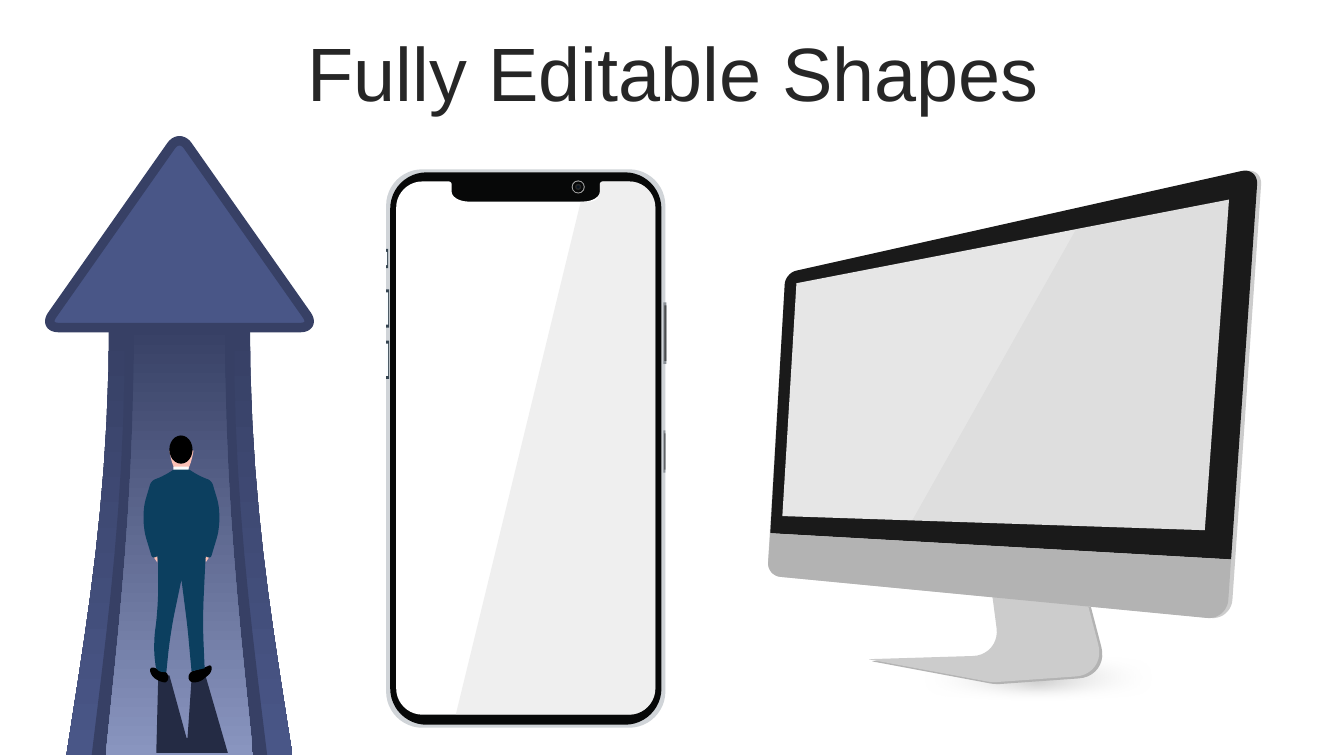
from dataclasses import dataclass
from math import dist
from typing import List, NamedTuple, Optional, Sequence, Tuple, Union

from lxml import etree
from pptx import Presentation
from pptx import util as u
from pptx.dml.color import RGBColor
from pptx.enum import shapes, text
from pptx.oxml import ns

COLORS = {
    "title": "262626", "black": "000000", "white": "FFFFFF", "shade": "808080",
    "stand_edge": "B3B3B3", "stand": "CCCCCC", "bezel": "1A1A1A", "display": "E6E6E6",
    "glare": "999999", "shell": "D0D4D8", "body": "070808", "key": "364551",
    "key_light": "FAFDFF", "side_key": "8A9096", "side_slot": "4A4C4D", "ring": "A6A6A6",
    "lens": "262626", "pupil": "081422", "sheen": "D9D9D9", "navy": "374065",
    "arrow": "495687", "road": "8995BF", "skin": "FCC0B5", "collar": "FCFCFC",
    "figure_shadow": "242B44", "suit": "0C3F5F",
}
OVAL = shapes.MSO_SHAPE.OVAL
RECT = shapes.MSO_SHAPE.RECTANGLE
ROUND = shapes.MSO_SHAPE.ROUNDED_RECTANGLE
CURVE_STEPS = 10
ARC = 0.55
Point = Tuple[float, float]


class Corner(NamedTuple):
    x: float
    y: float
    cut: float = 0


class Key(NamedTuple):
    box: Tuple[float, float, float, float]
    slot_shift: float
    fill: str
    slot_fill: str


@dataclass
class Outline:
    points: List[Point]
    fill: str
    fade_to: Optional[str] = None
    alpha: int = 100
    line: Optional[str] = None


@dataclass
class Preset:
    kind: shapes.MSO_SHAPE
    box: Tuple[float, float, float, float]
    fill: str
    radius: float = 0


Item = Union[Outline, Preset]


def inch(value: float) -> u.Length:
    return u.Cm(value * 2.54)


def rgb(name: str) -> RGBColor:
    return RGBColor.from_string(COLORS[name])


def toward(a: Point, b: Point, share: float) -> Point:
    return a[0] + (b[0] - a[0]) * share, a[1] + (b[1] - a[1]) * share


def bezier(*controls: Point) -> List[Point]:
    points = []
    for step in range(CURVE_STEPS + 1):
        level = list(controls)
        while len(level) > 1:
            level = [toward(a, b, step / CURVE_STEPS) for a, b in zip(level, level[1:])]
        points.append(level[0])
    return points


def rounded(corners: Sequence[Corner]) -> List[Point]:
    points: List[Point] = []
    for i, corner in enumerate(corners):
        here = corner[:2]
        if not corner.cut:
            points.append(here)
            continue
        ends = []
        for neighbour in (corners[i - 1][:2], corners[(i + 1) % len(corners)][:2]):
            ends.append(toward(here, neighbour, min(0.5, corner.cut / dist(here, neighbour))))
        start, end = ends
        points += bezier(start, toward(start, here, ARC), toward(end, here, ARC), end)
    return points


def mirrored(half: Sequence[Corner], axis: float) -> List[Corner]:
    return [*half, *(c._replace(x=2 * axis - c.x) for c in reversed(half))]


def shifted(corners: Sequence[Corner], dx: float, dy: float) -> List[Corner]:
    return [Corner(c.x + dx, c.y + dy, c.cut) for c in corners]


def set_alpha(sp, percents: List[int]) -> None:
    for color, percent in zip(sp.element.spPr.iter(ns.qn("a:srgbClr")), percents):
        etree.SubElement(color, ns.qn("a:alpha"), val=str(percent * 1000))


def paint_gradient(sp, start: str, end: str, last: float = 1) -> None:
    sp.fill.gradient()
    for stop, name, position in zip(sp.fill.gradient_stops, (start, end), (0, last)):
        stop.color.rgb = rgb(name)
        stop.position = position


def draw(container, item: Item):
    if isinstance(item, Outline):
        points = [(inch(x), inch(y)) for x, y in item.points]
        builder = container.build_freeform(*points[0], scale=1.0)
        builder.add_line_segments(points[1:], close=True)
        sp = builder.convert_to_shape()
    else:
        sp = container.add_shape(item.kind, *map(inch, item.box))
        if item.radius:
            sp.adjustments[0] = item.radius / min(item.box[2:])
    sp.shadow.inherit = False
    sp.line.fill.background()
    sp.fill.solid()
    sp.fill.fore_color.rgb = rgb(item.fill)
    if isinstance(item, Outline):
        if item.fade_to:
            paint_gradient(sp, item.fill, item.fade_to)
            sp.fill.gradient_angle = 270
        if item.alpha < 100:
            set_alpha(sp, [item.alpha])
        if item.line:
            sp.line.color.rgb = rgb(item.line)
            sp.line.width = u.Pt(6.75)
    return sp


def draw_title(s, title: str) -> None:
    tf = s.shapes.add_textbox(*map(inch, (0.35, 0.37, 12.66, 0.79))).text_frame
    tf.word_wrap = True
    tf.vertical_anchor = text.MSO_ANCHOR.MIDDLE
    p = tf.paragraphs[0]
    p.text = title
    p.alignment = text.PP_ALIGN.CENTER
    p.line_spacing = 0.9
    p.font.name, p.font.size, p.font.color.rgb = "Arial", u.Pt(54), rgb("title")


def draw_floor_shadow(s) -> None:
    sp = draw(s.shapes, Preset(OVAL, (7.87, 6.47, 4.85, 0.49), "shade"))
    paint_gradient(sp, "shade", "white", last=0.5)
    set_alpha(sp, [40, 0])
    gradient = sp.element.spPr.find(ns.qn("a:gradFill"))
    gradient.remove(gradient.find(ns.qn("a:lin")))
    radial = etree.SubElement(gradient, ns.qn("a:path"), path="circle")
    etree.SubElement(radial, ns.qn("a:fillToRect"), dict.fromkeys("ltrb", "50000"))
    effects = sp.element.spPr.find(ns.qn("a:effectLst"))
    etree.SubElement(effects, ns.qn("a:softEdge"), rad=str(inch(0.12)))


def monitor() -> List[Item]:
    foot = [Corner(9.87, 5.91), Corner(9.95, 6.52, 0.27), Corner(8.64, 6.56, 0.02),
            Corner(9.87, 6.79, 0.05), Corner(11, 6.71, 0.3), Corner(10.82, 6.02)]
    top_left = Corner(7.79, 2.71, 0.11)
    bottom_left = Corner(7.61, 5.71, 0.13)
    shell = [Corner(12.21, 6.15, 0.2), bottom_left, top_left, Corner(12.52, 1.66, 0.17)]
    seam_left, seam_right = Corner(7.64, 5.29), Corner(12.21, 5.55)
    bezel = [seam_right, seam_left, top_left, Corner(12.48, 1.66, 0.17)]
    chin = [seam_left, bottom_left, Corner(12.17, 6.15, 0.2), seam_right]
    display = [Corner(11.95, 5.26), Corner(7.76, 5.12), Corner(7.9, 2.81), Corner(12.19, 1.98)]
    glare = [Corner(10.67, 2.28), display[3], display[0], Corner(9.05, 5.16)]
    layers = [(foot, "stand_edge"), (shifted(foot, -0.03, -0.02), "stand"), (shell, "stand"),
              (bezel, "bezel"), (display, "display"), (chin, "stand_edge")]
    return [*(Outline(rounded(corners), fill) for corners, fill in layers),
            Outline(rounded(glare), "glare", alpha=10)]


def phone() -> List[Item]:
    axis, radius, notch_radius, lip = 5.215, 0.26, 0.17, 0.03
    left, top, bottom, notch_left, notch_bottom = 3.93, 1.8, 7.09, 4.48, 2.0
    screen = mirrored([Corner(notch_left, notch_bottom, notch_radius),
                       Corner(notch_left, top, lip), Corner(left, top, radius),
                       Corner(left, bottom, radius)], axis)
    sheen = [*screen[4:], Corner(5.76, notch_bottom), Corner(4.52, bottom)]
    keys = [Key((3.83, y, w, h), 0, "key", "key_light")
            for y, w, h in [(2.47, 0.02, 0.19), (2.87, 0.03, 0.38), (3.38, 0.03, 0.38)]]
    keys += [Key((6.58, y, w, h), 0.01, "side_key", "side_slot")
             for y, w, h in [(3, 0.03, 0.61), (4.27, 0.02, 0.42)]]

    items: List[Item] = [Preset(ROUND, (3.83, 1.68, 2.77, 5.54), "shell", 0.36),
                         Preset(ROUND, (3.87, 1.71, 2.69, 5.48), "body", 0.36),
                         Outline(rounded(screen), "white")]
    for key in keys:
        x, y, w, h = key.box
        slot = (x + key.slot_shift, y + 0.03, w - 0.01, h - 0.06)
        items += [Preset(RECT, key.box, key.fill), Preset(RECT, slot, key.slot_fill)]
    for size, fill in [(0.13, "ring"), (0.11, "body"), (0.06, "lens"), (0.03, "pupil")]:
        items.append(Preset(OVAL, (5.735 - size / 2, 1.855 - size / 2, size, size), fill))
    return [*items, Outline(rounded(sheen), "sheen", alpha=40)]


def road_layer(axis: float, base: float, neck: float) -> List[Point]:
    middle = (base + neck) / 2
    left = bezier((axis - base, 7.49), (axis - middle, 6.13),
                  (axis - neck, 4.94), (axis - neck, 3.23))
    return [*left, *((2 * axis - x, y) for x, y in reversed(left))]


def arrow() -> List[Item]:
    axis = 1.78
    head = [Corner(0.43, 3.25, 0.15), Corner(axis, 1.33, 0.14), Corner(3.13, 3.25, 0.15)]
    layers = [(1.12, 0.7, "navy", "arrow"), (0.87, 0.54, "navy", None),
              (0.73, 0.45, "navy", "road")]
    return [*(Outline(road_layer(axis, base, neck), fill, fade_to=fade)
              for base, neck, fill, fade in layers),
            Outline(rounded(head), "arrow", line="navy")]


def businessman() -> List[Item]:
    axis = 1.8
    face = mirrored([Corner(1.73, 4.65), Corner(1.7, 4.57, 0.04), Corner(1.68, 4.47)], axis)
    hands = mirrored([Corner(1.57, 5.5), Corner(1.52, 5.52), Corner(1.56, 5.58)], axis)
    jacket = mirrored([Corner(1.57, 5.6), Corner(1.56, 5.52), Corner(1.51, 5.54, 0.03),
                       Corner(1.39, 5.14, 0.35), Corner(1.5, 4.77, 0.04),
                       Corner(1.63, 4.72, 0.08), Corner(1.75, 4.64, 0.05)], axis)
    trousers = [Corner(1.57, 5.5), Corner(1.57, 6.02, 0.2), Corner(1.52, 6.4, 0.15),
                Corner(1.55, 6.66, 0.06), Corner(1.65, 6.67), Corner(1.69, 6.28, 0.2),
                Corner(1.8, 5.75), Corner(1.86, 6.22, 0.1), Corner(1.9, 6.66),
                Corner(2.03, 6.63), Corner(2.01, 6.16, 0.2), Corner(2.04, 5.5)]
    left_shoe = [Corner(1.48, 6.61, 0.05), Corner(1.67, 6.67, 0.05), Corner(1.67, 6.77, 0.05),
                 Corner(1.6, 6.77, 0.05), Corner(1.5, 6.71, 0.05)]
    right_shoe = [Corner(1.87, 6.67, 0.05), Corner(2.04, 6.62, 0.03), Corner(2.1, 6.59, 0.04),
                  Corner(2.1, 6.67, 0.04), Corner(1.98, 6.77, 0.05), Corner(1.87, 6.77, 0.05)]
    shadow = [Corner(1.57, 6.7), Corner(1.55, 7.47), Corner(2.26, 7.47), Corner(2.04, 6.71),
              Corner(1.9, 6.74), Corner(1.86, 7.32), Corner(1.85, 7.32), Corner(1.68, 6.7)]
    parts = [(shadow, "figure_shadow"), (left_shoe, "black"), (right_shoe, "black"),
             (face, "skin"), (hands[:3], "skin"), (hands[3:], "skin"),
             (trousers, "suit"), (jacket, "suit")]
    return [*(Outline(rounded(corners), fill) for corners, fill in parts),
            Preset(RECT, (1.72, 4.63, 0.15, 0.03), "collar"),
            Preset(OVAL, (1.68, 4.32, 0.23, 0.28), "black")]


def main() -> None:
    prs = Presentation()
    prs.slide_width, prs.slide_height = inch(13.33), inch(7.5)
    s = prs.slides.add_slide(prs.slide_layouts[6])
    draw_title(s, "Fully Editable Shapes")
    draw_floor_shadow(s)
    for items in (monitor(), phone(), arrow() + businessman()):
        group = s.shapes.add_group_shape()
        for item in items:
            draw(group.shapes, item)
    prs.save("out.pptx")


if __name__ == "__main__":
    main()
